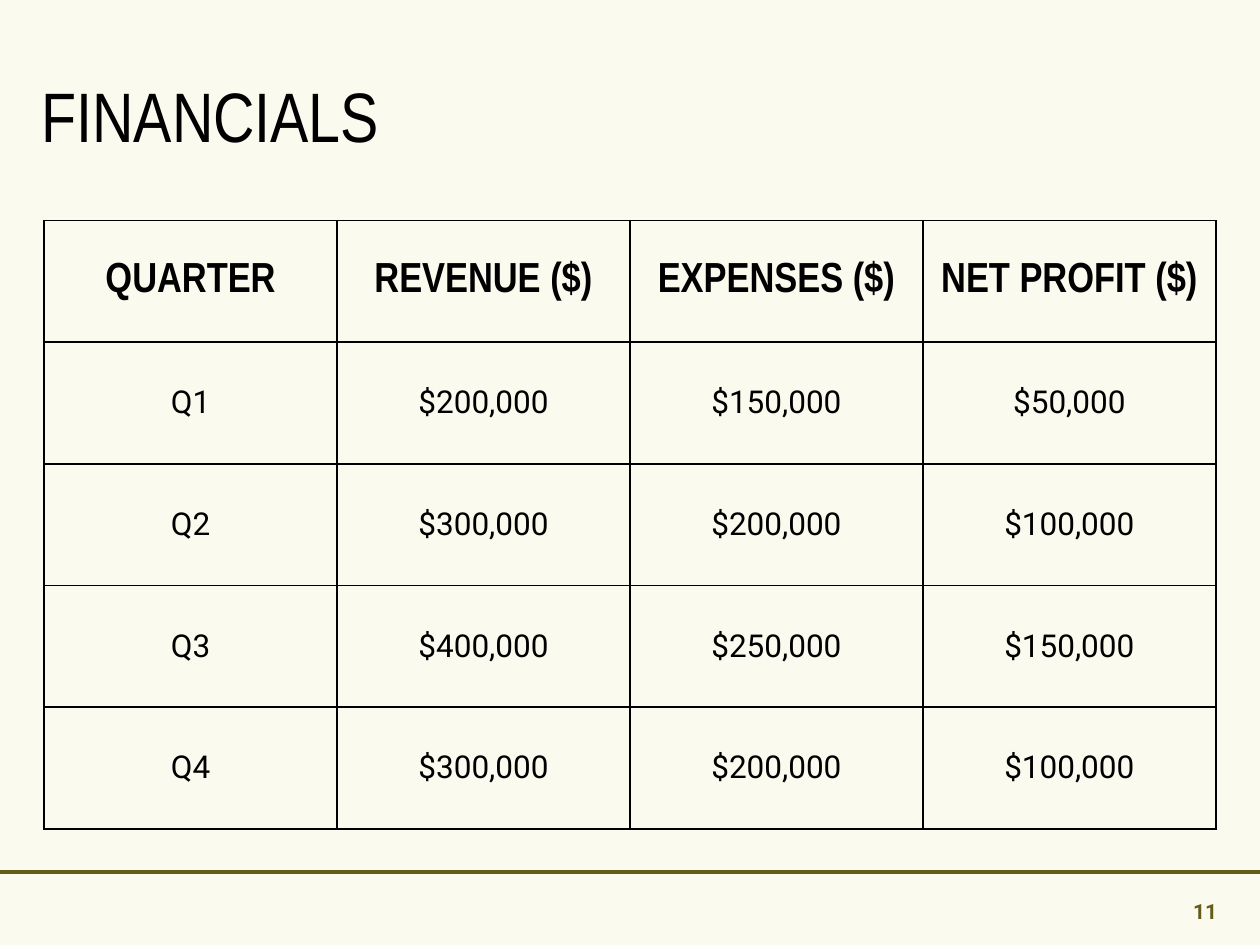
from lxml import etree
from pptx import Presentation
from pptx import util as u
from pptx.dml.color import RGBColor
from pptx.enum import shapes, text
from pptx.oxml import ns

INK, OLIVE, CREAM = "000000", "635D17", "FBFAEE"


def color(value):
    return RGBColor.from_string(value)


def write(frame, words, size, font, ink=INK, bold=False, align=text.PP_ALIGN.LEFT,
          anchor=text.MSO_ANCHOR.MIDDLE, spacing=None, insets=(0, 0)):
    frame.word_wrap = True
    frame.vertical_anchor = anchor
    frame.margin_left = frame.margin_right = u.Inches(insets[0])
    frame.margin_top = frame.margin_bottom = u.Inches(insets[1])
    para = frame.paragraphs[0]
    para.alignment = align
    para.line_spacing = spacing
    span = para.add_run()
    span.text = words
    span.font.size = u.Pt(size)
    span.font.name = font
    span.font.bold = bold
    span.font.color.rgb = color(ink)


deck = Presentation()
deck.slide_width, deck.slide_height = u.Inches(10), u.Inches(7.5)
slide = deck.slides.add_slide(deck.slide_layouts[5])
slide.background.fill.solid()
slide.background.fill.fore_color.rgb = color(CREAM)

rule = slide.shapes.add_connector(
    shapes.MSO_CONNECTOR.STRAIGHT, u.Inches(0), u.Inches(6.92), u.Inches(10), u.Inches(6.92))
rule.line.color.rgb = color(OLIVE)
rule.line.width = u.Pt(2.25)
etree.SubElement(rule._element.spPr, ns.qn("a:effectLst"))

title = slide.shapes.title
title.left, title.top = u.Inches(0.33), u.Inches(0.35)
title.width, title.height = u.Inches(9.3), u.Inches(1.2)
write(title.text_frame, "FINANCIALS", 40, "Arial Narrow", spacing=u.Pt(42))

financials = [
    ("QUARTER", "REVENUE ($)", "EXPENSES ($)", "NET PROFIT ($)"),
    ("Q1", "$200,000", "$150,000", "$50,000"),
    ("Q2", "$300,000", "$200,000", "$100,000"),
    ("Q3", "$400,000", "$250,000", "$150,000"),
    ("Q4", "$300,000", "$200,000", "$100,000"),
]
table = slide.shapes.add_table(
    len(financials), len(financials[0]),
    u.Inches(0.35), u.Inches(1.75), u.Inches(9.3), u.Inches(4.83)).table
table.horz_banding = False

for row, values in enumerate(financials):
    header = row == 0
    for column, value in enumerate(values):
        cell = table.cell(row, column)
        write(cell.text_frame, value, 24 if header else 18,
              "Arial Narrow" if header else "Roboto",
              bold=header, align=text.PP_ALIGN.CENTER)
        cell.vertical_anchor = text.MSO_ANCHOR.MIDDLE
        cell.margin_left = cell.margin_right = u.Inches(0.07)
        cell.margin_top = cell.margin_bottom = u.Inches(0.04)
        cell.fill.background()
        properties = cell._tc.get_or_add_tcPr()
        for position, side in enumerate(("lnL", "lnR", "lnT", "lnB")):
            border = etree.Element(ns.qn(f"a:{side}"), w=str(u.Pt(1)))
            fill = etree.SubElement(border, ns.qn("a:solidFill"))
            etree.SubElement(fill, ns.qn("a:srgbClr"), val=INK)
            properties.insert(position, border)

number = slide.shapes.add_textbox(u.Inches(7.33), u.Inches(7.03), u.Inches(2.33), u.Inches(0.3))
write(number.text_frame, "11", 12, "Roboto", ink=OLIVE, bold=True,
      align=text.PP_ALIGN.RIGHT, anchor=text.MSO_ANCHOR.BOTTOM)

deck.save("out.pptx")
